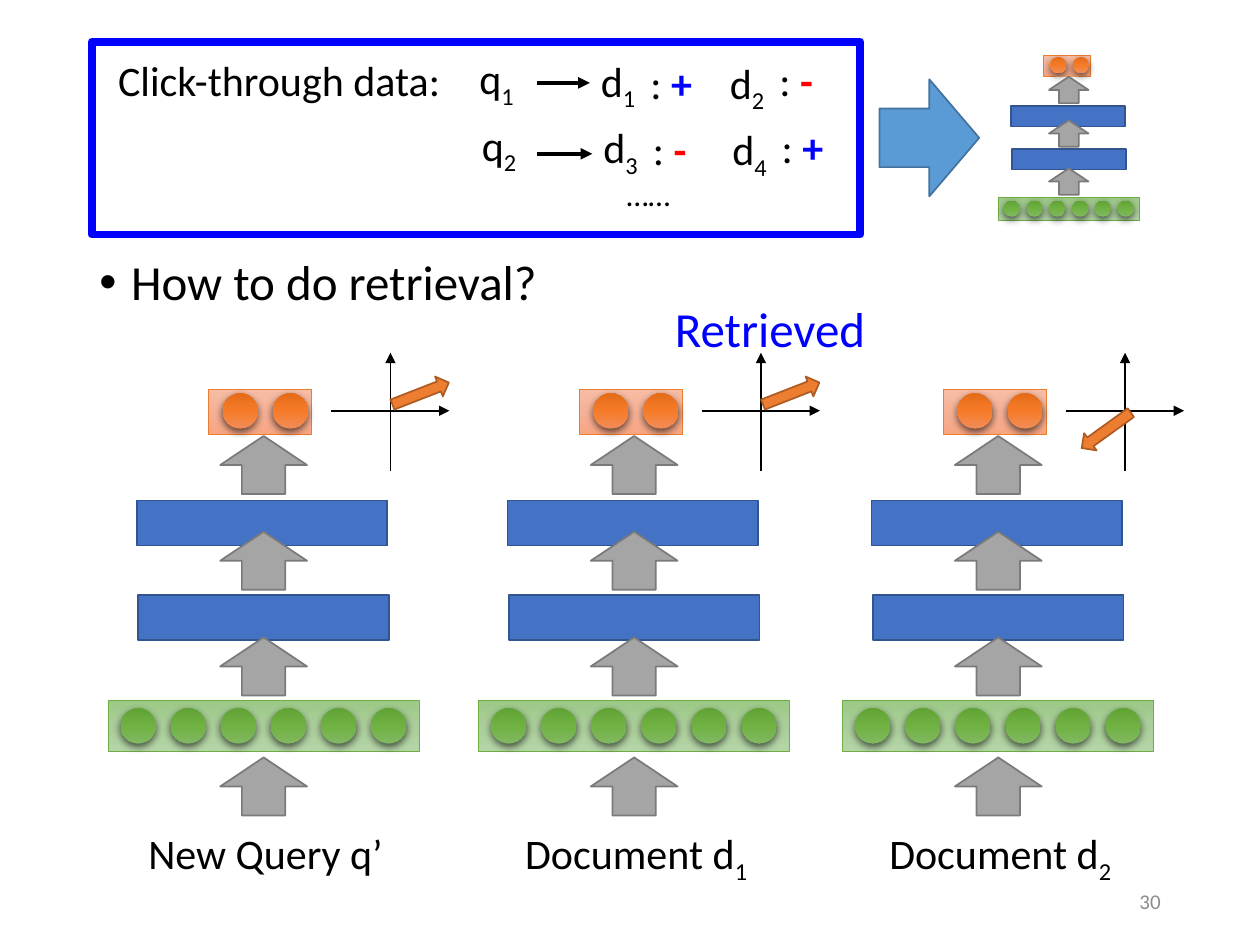
"""Build a slide on retrieval with a network trained on click-through data."""
from copy import deepcopy

from lxml import etree
from pptx import Presentation
from pptx.dml.color import RGBColor
from pptx.enum.shapes import MSO_CONNECTOR, MSO_SHAPE
from pptx.enum.text import MSO_ANCHOR, MSO_AUTO_SIZE, PP_ALIGN
from pptx.oxml.ns import qn
from pptx.util import Cm, Pt

RECTANGLE, OVAL = MSO_SHAPE.RECTANGLE, MSO_SHAPE.OVAL
UP_ARROW, RIGHT_ARROW = MSO_SHAPE.UP_ARROW, MSO_SHAPE.RIGHT_ARROW
STRAIGHT = MSO_CONNECTOR.STRAIGHT
LEFT, CENTER, RIGHT = PP_ALIGN.LEFT, PP_ALIGN.CENTER, PP_ALIGN.RIGHT
MIDDLE = MSO_ANCHOR.MIDDLE
FIT_SHAPE = MSO_AUTO_SIZE.SHAPE_TO_FIT_TEXT

COLORS = {"black": "000000", "blue": "0000FF", "red": "FF0000", "gray": "8C8C8C"}
LOOKS = {
    "frame": {"line": "0000FF", "width": 4.5},
    "input": {"gradient": ("B5D5A7", "AACE9A", "9CC987"), "line": "70AD47", "width": 0.5},
    "input unit": {"gradient": ("81B861", "6FB242", "62A336"), "shadow": True},
    "output": {"gradient": ("F7BDA5", "F5B196", "F8A582"), "line": "ED7D31", "width": 0.5},
    "output unit": {"gradient": ("F18C57", "F67B28", "E56C19"), "shadow": True},
    "hidden": {"fill": "4472C4", "line": "325491", "width": 1},
    "flow": {"fill": "A5A5A5", "line": "7A7A7A", "width": 1},
    "vector": {"fill": "ED7D31", "line": "AF5C24", "width": 1},
    "training": {"fill": "5B9BD5", "line": "43739E", "width": 1},
}
RUN_STYLES = {
    "plain": {"color": "black"},
    "sub": {"color": "black", "baseline": -25000},
    "plus": {"color": "blue", "bold": True},
    "minus": {"color": "red", "bold": True},
    "highlight": {"color": "blue"},
    "number": {"color": "gray"},
}

QUESTION = "How to do retrieval?"
NETWORK_TOP = 7.85
NETWORKS = [
    {"left": 2.18, "label": [("New Query q’", "plain")], "vector": (5.69, -0.13, 338.7)},
    {"left": 9.65, "label": [("Document d", "plain"), ("1", "sub")], "vector": (5.69, -0.13, 338.7)},
    {"left": 16.99, "label": [("Document d", "plain"), ("2", "sub")], "vector": (4.7, 0.61, 144.2)},
]
CLICK_ROWS = [
    {"left": 8.64, "top": 0.94, "arrow": (10.82, 11.89, 1.67), "query": "1",
     "documents": [("1", "+"), ("2", "-")]},
    {"left": 8.69, "top": 2.28, "arrow": (10.82, 11.94, 3.1), "query": "2",
     "documents": [("3", "-"), ("4", "+")]},
]
SIGN_STYLES = {"+": "plus", "-": "minus"}
DOCUMENT_OFFSETS = [(2.6, 0.05), (5.2, 0.09)]
SIGN_OFFSETS = [(4.22, 0.09), (6.82, 0.04)]
HIDDEN_LAYERS = [(0.61, 4.14), (0.58, 2.24)]
FLOW_TOPS = [5.0, 2.87, 0.94]
INPUT_FLOW_TOP = 7.42
UNIT_PITCH = 1.01


def add_runs(paragraph, runs, size):
    for text, style in runs:
        values = RUN_STYLES[style]
        run = paragraph.add_run()
        run.text = text
        formats = {"name": "Calibri", "size": Pt(size), "bold": values.get("bold", False)}
        for name, value in formats.items():
            setattr(run.font, name, value)
        run.font.color.rgb = RGBColor.from_string(COLORS[values["color"]])
        if "baseline" in values:
            run._r.get_or_add_rPr().set("baseline", str(values["baseline"]))


def add_text(shapes, box, runs, size=24, align=CENTER, **frame_formats):
    frame = shapes.add_textbox(*map(Cm, box)).text_frame
    formats = {"word_wrap": True, "auto_size": FIT_SHAPE, **frame_formats}
    for name, value in formats.items():
        setattr(frame, name, value)
    frame.paragraphs[0].alignment = align
    add_runs(frame.paragraphs[0], runs, size)


def add_shadow(shape):
    effects = shape._element.spPr.find(qn("a:effectLst"))
    shadow = etree.SubElement(effects, qn("a:outerShdw"), blurRad="57150", dist="19050",
                              dir="5400000", algn="ctr", rotWithShape="0")
    color = etree.SubElement(shadow, qn("a:srgbClr"), val="000000")
    etree.SubElement(color, qn("a:alpha"), val="63000")


def add_gradient(shape, colors):
    shape.fill.gradient()
    shape.fill.gradient_angle = 270
    stop_list = shape._element.spPr.find(qn("a:gradFill")).find(qn("a:gsLst"))
    stop_list.append(deepcopy(stop_list[0]))
    for stop, color, position in zip(shape.fill.gradient_stops, colors, (0, 0.5, 1)):
        stop.color.rgb = RGBColor.from_string(color)
        stop.position = position


def add_figure(shapes, kind, box, look, rotation=0):
    values = LOOKS[look]
    shape = shapes.add_shape(kind, *map(Cm, box))
    shape.rotation = rotation
    shape.shadow.inherit = False
    if "gradient" in values:
        add_gradient(shape, values["gradient"])
    elif "fill" in values:
        shape.fill.solid()
        shape.fill.fore_color.rgb = RGBColor.from_string(values["fill"])
    else:
        shape.fill.background()
    if "line" in values:
        shape.line.color.rgb = RGBColor.from_string(values["line"])
        shape.line.width = Pt(values["width"])
    else:
        shape.line.fill.background()
    if "shadow" in values:
        add_shadow(shape)


def add_arrow(shapes, start, end, width):
    connector = shapes.add_connector(STRAIGHT, *map(Cm, (*start, *end)))
    connector.line.color.rgb = RGBColor.from_string(COLORS["black"])
    connector.line.width = Pt(width)
    etree.SubElement(connector.line._get_or_add_ln(), qn("a:tailEnd"), type="triangle")
    etree.SubElement(connector._element.spPr, qn("a:effectLst"))


def add_network(shapes, left, top, scale=1, flow_tops=FLOW_TOPS):
    def place(x, y, width, height):
        return left + x * scale, top + y * scale, width * scale, height * scale

    def add_units(count, x, y, look):
        for index in range(count):
            box = place(x + index * UNIT_PITCH, y, 0.71, 0.71)
            add_figure(shapes, OVAL, box, look, 180)

    add_figure(shapes, RECTANGLE, place(0, 6.27, 6.27, 1.02), "input", 180)
    add_units(6, 0.25, 6.43, "input unit")
    for x, y in HIDDEN_LAYERS:
        add_figure(shapes, RECTANGLE, place(x, y, 5.05, 0.91), "hidden")
    add_figure(shapes, RECTANGLE, place(2.03, 0, 2.08, 0.91), "output")
    add_units(2, 2.31, 0.08, "output unit")
    for y in flow_tops:
        add_figure(shapes, UP_ARROW, place(2.26, y, 1.75, 1.17), "flow")


def add_question(slide):
    body = slide.placeholders[1]
    body.left, body.top, body.width, body.height = map(Cm, (1.75, 5.08, 21.89, 12.09))
    paragraph = body.text_frame.paragraphs[0]
    properties = paragraph._p.get_or_add_pPr()
    properties.set("marL", str(Cm(0.64)))
    properties.set("indent", str(Cm(-0.64)))
    etree.SubElement(properties, qn("a:buFont"), typeface="Arial")
    etree.SubElement(properties, qn("a:buChar"), char="•")
    paragraph.line_spacing = 0.9
    paragraph.space_before = Pt(0)
    add_runs(paragraph, [(QUESTION, "plain")], 28)


def add_click_data(shapes):
    add_text(shapes, (2.13, 0.97, 7.09, 1.27), [("Click-through data:", "plain")],
             align=LEFT, word_wrap=False)
    for row in CLICK_ROWS:
        left, top = row["left"], row["top"]
        add_text(shapes, (left, top, 2.74, 1.27), [("q", "plain"), (row["query"], "sub")])
        start, end, height = row["arrow"]
        add_arrow(shapes, (start, height), (end, height), 2.25)
        for (number, sign), (x, y), (sign_x, sign_y) in zip(
                row["documents"], DOCUMENT_OFFSETS, SIGN_OFFSETS):
            add_text(shapes, (left + x, top + y, 2.44, 1.27), [("d", "plain"), (number, "sub")])
            add_text(shapes, (left + sign_x, top + sign_y, 1.55, 1.27),
                     [(": ", "plain"), (sign, SIGN_STYLES[sign])], align=LEFT)
    add_text(shapes, (10.77, 3.4, 4.6, 1.02), [("……", "plain")], 18)


def main():
    presentation = Presentation()
    presentation.slide_width, presentation.slide_height = Cm(25.4), Cm(19.05)
    slide = presentation.slides.add_slide(presentation.slide_layouts[1])
    shapes = slide.shapes
    title = shapes.title._element
    title.getparent().remove(title)
    add_figure(shapes, RECTANGLE, (1.85, 0.84, 15.49, 3.89), "frame")
    add_question(slide)
    for network in NETWORKS:
        left, top = network["left"], NETWORK_TOP
        add_text(shapes, (left, top + 8.71, 6.35, 1.27), network["label"])
        add_network(shapes.add_group_shape().shapes, left, top,
                    flow_tops=[INPUT_FLOW_TOP, *FLOW_TOPS])
        axes = shapes.add_group_shape().shapes
        add_arrow(axes, (left + 4.5, top + 0.43), (left + 6.88, top + 0.43), 1)
        add_arrow(axes, (left + 5.69, top + 1.65), (left + 5.69, top - 0.74), 1)
        x, y, rotation = network["vector"]
        add_figure(shapes, RIGHT_ARROW, (left + x, top + y, 1.22, 0.43), "vector", rotation)
    add_text(shapes, (13.06, 5.89, 4.93, 1.45), [("Retrieved", "highlight")], 28)
    add_click_data(shapes.add_group_shape().shapes)
    add_network(shapes.add_group_shape().shapes, 20.12, 1.12, 0.455)
    add_figure(shapes, RIGHT_ARROW, (17.73, 1.6, 2.01, 2.36), "training")
    add_text(shapes, (17.93, 17.65, 5.72, 1.02), [("30", "number")], 12, RIGHT,
             auto_size=MSO_AUTO_SIZE.NONE, vertical_anchor=MIDDLE)
    presentation.save("out.pptx")


if __name__ == "__main__":
    main()
